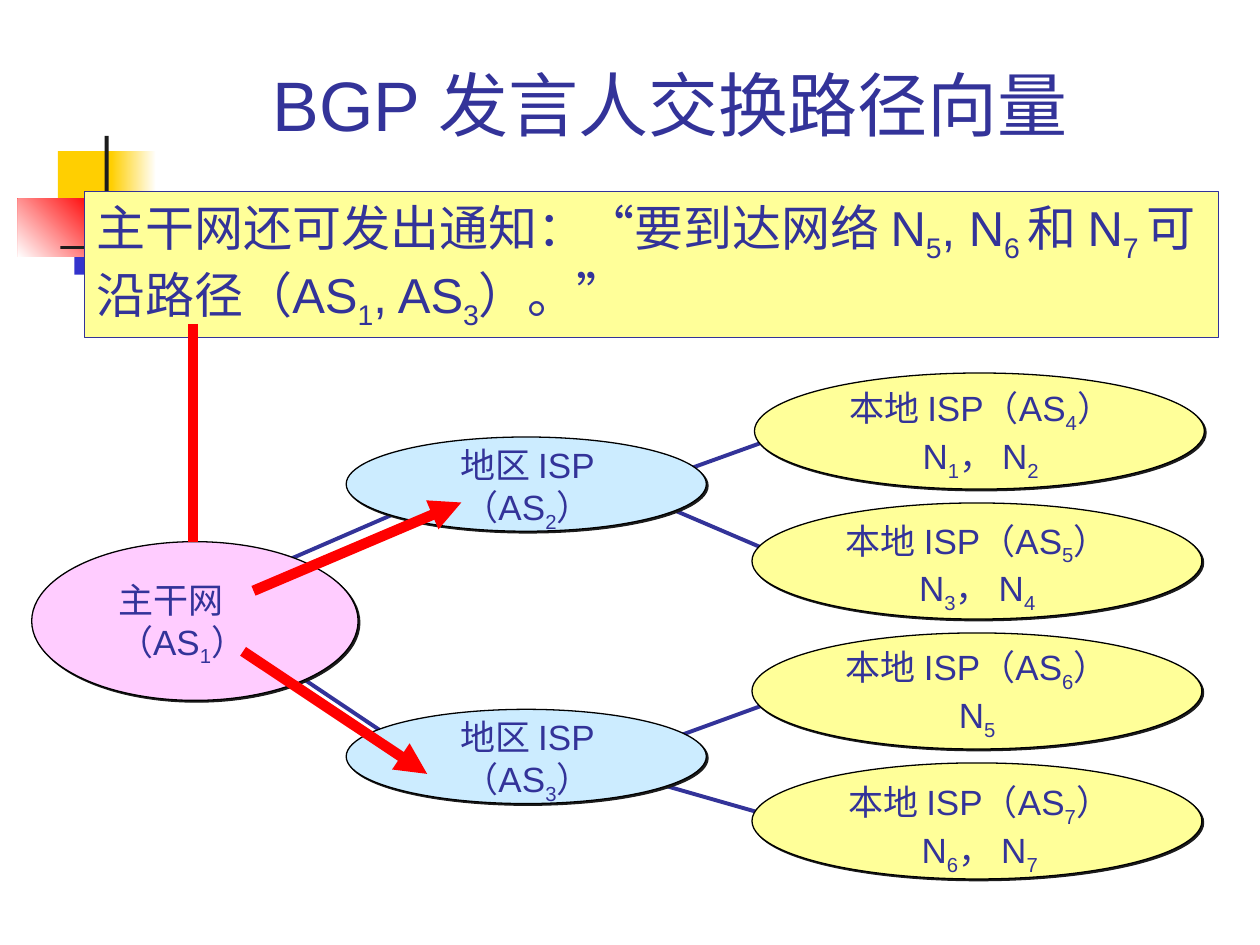
import pptx
import pptx.util
import pptx.dml.color
import pptx.enum.shapes
import pptx.enum.text
import pptx.oxml
import pptx.oxml.ns
import lxml.etree

Cm, Pt = pptx.util.Cm, pptx.util.Pt
Kind = pptx.enum.shapes.MSO_SHAPE
Align = pptx.enum.text.PP_ALIGN
qn = pptx.oxml.ns.qn

INK, RED, DARK, BLACK = "333399", "FF0000", "1C1C1C", "000000"
GOLD, WHITE, CREAM, SKY, PINK = "FFCF01", "FFFFFF", "FFFF99", "CCECFF", "FFCCFF"

# Text between bars is subscript.
TITLE = "BGP 发言人交换路径向量"
NOTICE = ("主干网还可发出通知：“要到达网络 N|5|, N|6 |和 N|7 |"
          "可沿路径（AS|1|, AS|3|）。”")

# Box in cm, colours (two make a gradient), gradient angle
DECOR = [
    ((1.17, 3.05, 1.22, 1.32), [GOLD], 0),
    ((2.24, 3.05, 0.91, 1.32), [GOLD, WHITE], 0),
    ((1.5, 4.22, 1.17, 1.32), ["3333CC"], 0),
    ((0.36, 4.01, 1.55, 1.17), [RED, WHITE], 225),
    ((2.11, 2.74, 0.08, 2.92), [DARK], 0),
    ((1.22, 4.95, 22.86, 0.08), [DARK, WHITE], 0),
]

LINKS = [
    ((5.18, 11.56), (8.59, 10.08)),
    ((5.18, 13.06), (8.36, 15.19)),
    ((13.34, 9.65), (16.28, 8.59)),
    ((13.11, 10.08), (16.08, 11.35)),
    ((13.34, 14.96), (16.28, 13.89)),
    ((13.34, 15.82), (16.28, 16.66)),
]

# From, to, has arrowhead
ROUTES = [
    ((3.89, 6.53), (3.89, 10.92), False),
    ((5.11, 11.91), (9.3, 10.13), True),
    ((4.9, 13.13), (8.61, 15.6), True),
]

# AS number, top of the ellipse
REGIONS = [(2, 8.81), (3, 14.3)]

# AS number, networks, left of the ellipse, label offset
LOCALS = [
    (4, "N|1|， N|2|", 15.21, (1.32, 0.15)),
    (5, "N|3|， N|4|", 15.16, (1.3, 0.2)),
    (6, "N|5|", 15.16, (1.3, 0.13)),
    (7, "N|6|， N|7|", 15.16, (1.35, 0.23)),
]
TOP, STEP = 7.52, 2.62

deck = pptx.Presentation()
deck.slide_width, deck.slide_height = Cm(25.4), Cm(19.05)
slide = deck.slides.add_slide(deck.slide_layouts[6])


def rgb(code):
    return pptx.dml.color.RGBColor.from_string(code)


def shape(kind, box, cols, edge=None, angle=0):
    item = slide.shapes.add_shape(kind, *map(Cm, box))
    item.shadow.inherit = False
    if len(cols) == 1:
        item.fill.solid()
        item.fill.fore_color.rgb = rgb(cols[0])
    else:
        item.fill.gradient()
        item.fill.gradient_angle = angle
        for stop, col in zip(item.fill.gradient_stops, cols):
            stop.color.rgb = rgb(col)
    if edge:
        item.line.color.rgb = rgb(edge)
        item.line.width = Pt(0.75)
    else:
        item.line.fill.background()
    return item


def write(item, lines, size, align, wrap=True):
    frame = item.text_frame
    frame.word_wrap = wrap
    frame.vertical_anchor = pptx.enum.text.MSO_ANCHOR.TOP
    for i, line in enumerate(lines):
        para = frame.add_paragraph() if i else frame.paragraphs[0]
        para.alignment = align
        for j, part in enumerate(line.split("|")):
            if not part:
                continue
            run = para.add_run()
            run.text = part
            run.font.name = "Arial"
            run.font.size = Pt(size)
            run.font.color.rgb = rgb(INK)
            if j % 2:
                run.font._element.set("baseline", "-25000")
    return frame


def label(box, lines, size=20, align=Align.CENTER, wrap=False):
    item = slide.shapes.add_textbox(*map(Cm, box))
    return write(item, lines, size, align, wrap)


def node(box, col):
    """Draw an ellipse with a hard shadow to its lower right."""
    item = shape(Kind.OVAL, box, [col], BLACK)
    glow = item.element.spPr.find(qn("a:effectLst"))
    shade = lxml.etree.SubElement(glow, qn("a:outerShdw"), dist=str(Pt(1.4)),
                                  dir="2700000", algn="ctr", rotWithShape="0")
    lxml.etree.SubElement(shade, qn("a:srgbClr"), val=DARK)


def link(start, end, col, width, arrow=False):
    item = slide.shapes.add_connector(pptx.enum.shapes.MSO_CONNECTOR.STRAIGHT,
                                      *map(Cm, start + end))
    item.line.color.rgb = rgb(col)
    item.line.width = Pt(width)
    props = item.element.spPr
    if arrow:
        lxml.etree.SubElement(props.find(qn("a:ln")), qn("a:tailEnd"), type="triangle")
    lxml.etree.SubElement(props, qn("a:effectLst"))


for box, cols, angle in DECOR:
    shape(Kind.RECTANGLE, box, cols, angle=angle)

head = label((2.69, 0.71, 21.64, 2.34), [TITLE], 40, wrap=True)
head.vertical_anchor = pptx.enum.text.MSO_ANCHOR.BOTTOM

for start, end in LINKS:
    link(start, end, INK, 2.25)

node((0.64, 10.92, 6.58, 3.2), PINK)
label((2.13, 11.53, 3.43, 2.08), ["主干网", "（AS|1|）"], align=Align.LEFT)

for num, y in REGIONS:
    node((6.98, y, 7.26, 1.9), SKY)
    label((8.92, y, 3.43, 2.08), ["地区 ISP", f"（AS|{num}|）"])

for i, (num, nets, x, (dx, dy)) in enumerate(LOCALS):
    y = TOP + i * STEP
    node((x, y, 9.07, 2.34), CREAM)
    label((x + dx, y + dy, 6.48, 2.18), [f"本地 ISP（AS|{num}|）", nets])

banner = shape(Kind.RECTANGLE, (1.7, 3.86, 22.86, 2.95), [CREAM], INK)
write(banner, [NOTICE], 28, Align.LEFT)

for start, end, arrow in ROUTES:
    link(start, end, RED, 6, arrow)

deck.save("out.pptx")
